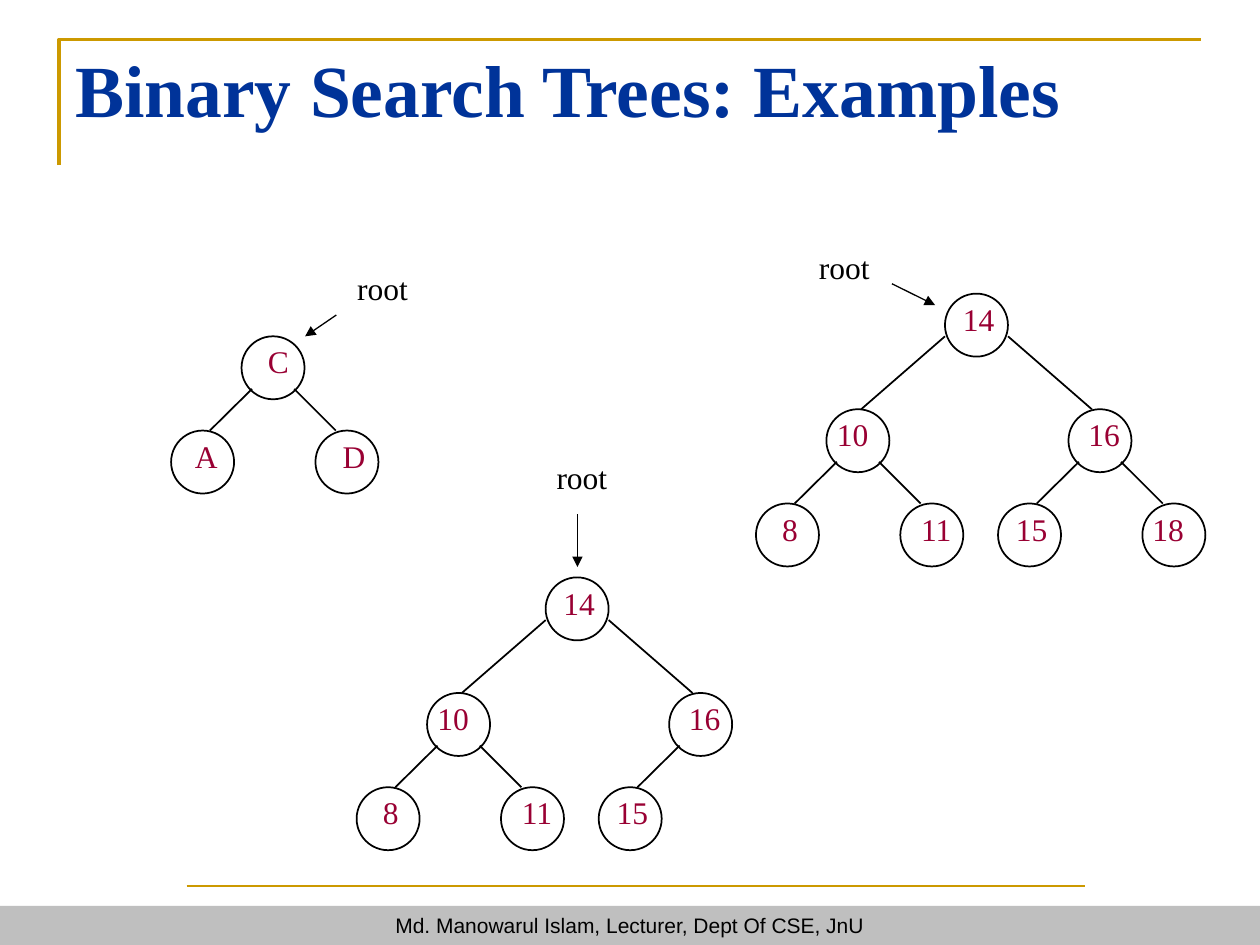
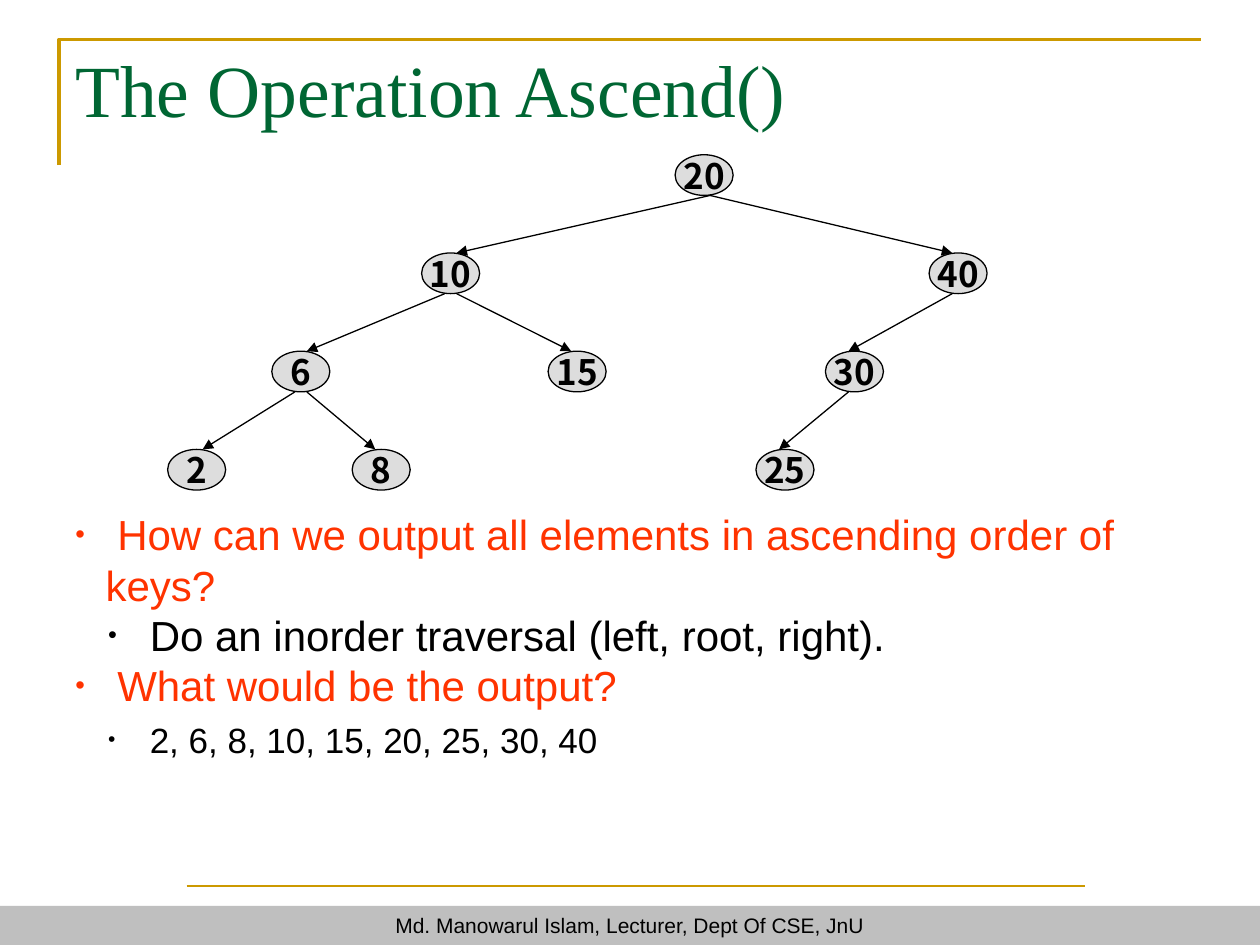
"""Build two slides on binary search trees: example trees and in-order output."""

from dataclasses import dataclass
from typing import NamedTuple, Optional

import lxml.etree
import pptx
import pptx.dml.color
import pptx.enum.shapes
import pptx.enum.text
import pptx.oxml.ns
import pptx.util

Cm = pptx.util.Cm
Pt = pptx.util.Pt
qn = pptx.oxml.ns.qn
SHAPES = pptx.enum.shapes.MSO_SHAPE
ALIGN = pptx.enum.text.PP_ALIGN
ANCHOR = pptx.enum.text.MSO_ANCHOR
AUTO_SIZE = pptx.enum.text.MSO_AUTO_SIZE

BLACK, WHITE, GOLD, BAND = "000000", "FFFFFF", "CC9900", "BFBFBF"
BLUE, GREEN, CRIMSON, ORANGE, PALE = "003399", "006633", "990033", "FF3300", "DDDDDD"
SERIF, SANS, BOLD_SANS = "Times New Roman", "Arial", "Noto Sans CJK KR"
FOOTER = "Md. Manowarul Islam, Lecturer, Dept Of CSE, JnU"

CIRCLE = 1.27
OVAL_WIDTH, OVAL_HEIGHT = 1.17, 0.82
OVAL_TOP, LEVEL_STEP = 3.12, 1.98


class Point(NamedTuple):
    x: float
    y: float

    def plus(self, other: "Point") -> "Point":
        return Point(self.x + other.x, self.y + other.y)


class TextStyle(NamedTuple):
    font: str
    size: float
    color: str
    bold: bool = False


@dataclass(frozen=True)
class Branch:
    """Offsets from a parent circle to its child and to both edge ends."""

    child: Point
    start: Point
    end: Point


@dataclass(frozen=True)
class Node:
    key: str
    label_shift: float
    branch: Optional[Branch] = None
    children: tuple["Node", ...] = ()


@dataclass(frozen=True)
class RootedTree:
    node: Node
    position: Point
    label: Point
    arrow_start: Point
    arrow_end: Point


class Oval(NamedTuple):
    key: int
    left: float
    level: int


class Link(NamedTuple):
    parent: int
    child: int
    start_shift: float
    end_shift: float


class Bullet(NamedTuple):
    text: str
    size: float
    color: str
    percent: int
    margin: float
    hang: float


NODE_LABEL = TextStyle(SERIF, 18, CRIMSON)
ROOT_LABEL = TextStyle(SERIF, 18, BLACK)
OVAL_LABEL = TextStyle(BOLD_SANS, 20, BLACK, True)

WIDE_LEFT = Branch(Point(-2.39, 2.33), Point(0, 0.86), Point(-1.69, 2.33))
WIDE_RIGHT = Branch(Point(2.49, 2.33), Point(1.27, 0.86), Point(2.96, 2.33))
NEAR_LEFT = Branch(Point(-1.42, 1.9), Point(0.21, 1.06), Point(-0.64, 1.9))
NEAR_RIGHT = Branch(Point(1.49, 1.9), Point(1.06, 1.06), Point(1.9, 1.9))

TEN = Node("10", -0.04, WIDE_LEFT,
           (Node("8", 0.28, NEAR_LEFT), Node("11", 0.17, NEAR_RIGHT)))
FIFTEEN = Node("15", 0.11, NEAR_LEFT)
EIGHTEEN = Node("18", -0.05, NEAR_RIGHT)
LETTERS = Node("C", 0.28, None,
               (Node("A", 0.23, NEAR_LEFT), Node("D", 0.3, NEAR_RIGHT)))
FULL = Node("14", 0.11, None,
            (TEN, Node("16", 0.15, WIDE_RIGHT, (FIFTEEN, EIGHTEEN))))
PARTIAL = Node("14", 0.11, None, (TEN, Node("16", 0.15, WIDE_RIGHT, (FIFTEEN,))))

TREES = (
    RootedTree(LETTERS, Point(4.87, 6.78), Point(6.95, 5.29),
               Point(6.78, 6.35), Point(6.15, 6.78)),
    RootedTree(FULL, Point(19.05, 5.92), Point(16.26, 4.88),
               Point(17.98, 5.72), Point(18.85, 6.15)),
    RootedTree(PARTIAL, Point(11, 11.64), Point(10.97, 9.1),
               Point(11.64, 10.37), Point(11.64, 11.43)),
)

OVALS = (
    Oval(20, 13.61, 0), Oval(10, 8.5, 1), Oval(40, 18.73, 1),
    Oval(6, 5.48, 2), Oval(15, 11.05, 2), Oval(30, 16.64, 2),
    Oval(2, 3.38, 3), Oval(8, 7.1, 3), Oval(25, 15.24, 3),
)
LINKS = (
    Link(20, 10, 0.12, 0.12), Link(20, 40, 0.12, -0.12),
    Link(10, 6, -0.12, 0.12), Link(10, 15, 0.12, -0.12),
    Link(40, 30, -0.12, -0.12), Link(6, 2, -0.12, 0.12),
    Link(6, 8, 0.12, -0.12), Link(30, 25, -0.12, -0.12),
)
BULLETS = (
    Bullet(" How can we output all elements in ascending order of keys?",
           24, ORANGE, 65, 0.61, 0.61),
    Bullet("Do an inorder traversal (left, root, right).", 24, BLACK, 60, 1.5, 0.84),
    Bullet(" What would be the output?", 24, ORANGE, 65, 0.61, 0.61),
    Bullet("2, 6, 8, 10, 15, 20, 25, 30, 40", 20, BLACK, 60, 1.5, 0.84),
)


def rgb(color: str) -> pptx.dml.color.RGBColor:
    return pptx.dml.color.RGBColor.from_string(color)


def style_paragraph(paragraph, style: TextStyle) -> None:
    font = paragraph.font
    font.name, font.size, font.bold = style.font, Pt(style.size), style.bold
    font.color.rgb = rgb(style.color)


def add_text(slide, text: str, position: Point, width: float, height: float,
             style: TextStyle, wrap: bool = False) -> None:
    box = slide.shapes.add_textbox(
        Cm(position.x), Cm(position.y), Cm(width), Cm(height))
    frame = box.text_frame
    frame.word_wrap = wrap
    frame.auto_size = AUTO_SIZE.NONE if wrap else AUTO_SIZE.SHAPE_TO_FIT_TEXT
    paragraph = frame.paragraphs[0]
    paragraph.text = text
    style_paragraph(paragraph, style)


def add_filled(slide, kind, position: Point, width: float, height: float,
               fill: str, line_width: float = 0):
    shape = slide.shapes.add_shape(
        kind, Cm(position.x), Cm(position.y), Cm(width), Cm(height))
    shape.shadow.inherit = False
    shape.fill.solid()
    shape.fill.fore_color.rgb = rgb(fill)
    if line_width:
        shape.line.color.rgb = rgb(BLACK)
        shape.line.width = Pt(line_width)
    else:
        shape.line.fill.background()
    return shape


def add_centred_text(shape, text: str, style: TextStyle, wrap: bool) -> None:
    frame = shape.text_frame
    frame.word_wrap = wrap
    frame.vertical_anchor = ANCHOR.MIDDLE
    paragraph = frame.paragraphs[0]
    paragraph.text = text
    paragraph.alignment = ALIGN.CENTER
    style_paragraph(paragraph, style)


def add_line(slide, start: Point, end: Point, width: float,
             color: str = BLACK, arrow: bool = False) -> None:
    connector = slide.shapes.add_connector(
        pptx.enum.shapes.MSO_CONNECTOR.STRAIGHT,
        Cm(start.x), Cm(start.y), Cm(end.x), Cm(end.y))
    connector.line.color.rgb = rgb(color)
    connector.line.width = Pt(width)
    properties = connector._element.spPr
    if arrow:
        lxml.etree.SubElement(
            properties.find(qn("a:ln")), qn("a:tailEnd"), type="triangle")
    lxml.etree.SubElement(properties, qn("a:effectLst"))


def add_frame(slide) -> None:
    add_line(slide, Point(3.76, 17.86), Point(21.87, 17.86), 1, GOLD)
    band = add_filled(slide, SHAPES.RECTANGLE, Point(0, 18.26), 25.4, 0.79, BAND)
    add_centred_text(band, FOOTER, TextStyle(SANS, 12, BLACK), True)
    builder = slide.shapes.build_freeform(Cm(1.19), Cm(3.33))
    builder.add_line_segments(
        [(Cm(1.19), Cm(0.8)), (Cm(24.21), Cm(0.8))], close=False)
    corner = builder.convert_to_shape()
    corner.shadow.inherit = False
    corner.fill.background()
    corner.line.color.rgb = rgb(GOLD)
    corner.line.width = Pt(2)


def add_slide(presentation, title: str, color: str, bold: bool):
    slide = presentation.slides.add_slide(presentation.slide_layouts[6])
    add_frame(slide)
    add_text(slide, title, Point(1.27, 0.76), 22.86, 3.18,
             TextStyle(SERIF, 42, color, bold), True)
    return slide


def draw_node(slide, node: Node, position: Point) -> None:
    add_filled(slide, SHAPES.OVAL, position, CIRCLE, CIRCLE, WHITE, 1)
    for child in node.children:
        branch = child.branch
        draw_node(slide, child, position.plus(branch.child))
        add_line(slide, position.plus(branch.start), position.plus(branch.end), 1)
    width = 0.51 + 0.32 * len(node.key) if node.key.isdigit() else 0.95
    add_text(slide, node.key, position.plus(Point(node.label_shift, 0)),
             width, 1.02, NODE_LABEL)


def draw_ovals(slide) -> None:
    spots = {}
    for oval in OVALS:
        top = OVAL_TOP + LEVEL_STEP * oval.level
        spots[oval.key] = Point(oval.left + OVAL_WIDTH / 2, top)
        shape = add_filled(slide, SHAPES.OVAL, Point(oval.left, top),
                           OVAL_WIDTH, OVAL_HEIGHT, PALE, 0.75)
        add_centred_text(shape, str(oval.key), OVAL_LABEL, False)
    for link in LINKS:
        start = spots[link.parent].plus(Point(link.start_shift, OVAL_HEIGHT))
        end = spots[link.child].plus(Point(link.end_shift, 0))
        add_line(slide, start, end, 0.75, arrow=True)


def add_bullets(slide) -> None:
    box = slide.shapes.add_textbox(Cm(1.27), Cm(10.13), Cm(23.6), Cm(4.32))
    frame = box.text_frame
    frame.word_wrap = True
    for index, bullet in enumerate(BULLETS):
        paragraph = frame.add_paragraph() if index else frame.paragraphs[0]
        paragraph.text = bullet.text
        properties = paragraph._p.get_or_add_pPr()
        properties.set("marL", str(Cm(bullet.margin)))
        properties.set("indent", str(-Cm(bullet.hang)))
        color = lxml.etree.SubElement(properties, qn("a:buClr"))
        lxml.etree.SubElement(color, qn("a:srgbClr"), val=bullet.color)
        lxml.etree.SubElement(
            properties, qn("a:buSzPct"), val=str(bullet.percent * 1000))
        lxml.etree.SubElement(properties, qn("a:buFont"), typeface=SANS)
        lxml.etree.SubElement(properties, qn("a:buChar"), char="•")
        paragraph.line_spacing = Pt(28.8)
        style_paragraph(paragraph, TextStyle(SANS, bullet.size, bullet.color))


def main() -> None:
    presentation = pptx.Presentation()
    presentation.slide_width, presentation.slide_height = Cm(25.4), Cm(19.05)

    examples = add_slide(presentation, "Binary Search Trees: Examples", BLUE, True)
    for tree in TREES:
        draw_node(examples, tree.node, tree.position)
        add_line(examples, tree.arrow_start, tree.arrow_end, 0.75, arrow=True)
        add_text(examples, "root", tree.label, 1.6, 1.02, ROOT_LABEL)

    ascend = add_slide(presentation, "The Operation Ascend()", GREEN, False)
    add_bullets(ascend)
    draw_ovals(ascend)

    presentation.save("out.pptx")


if __name__ == "__main__":
    main()
